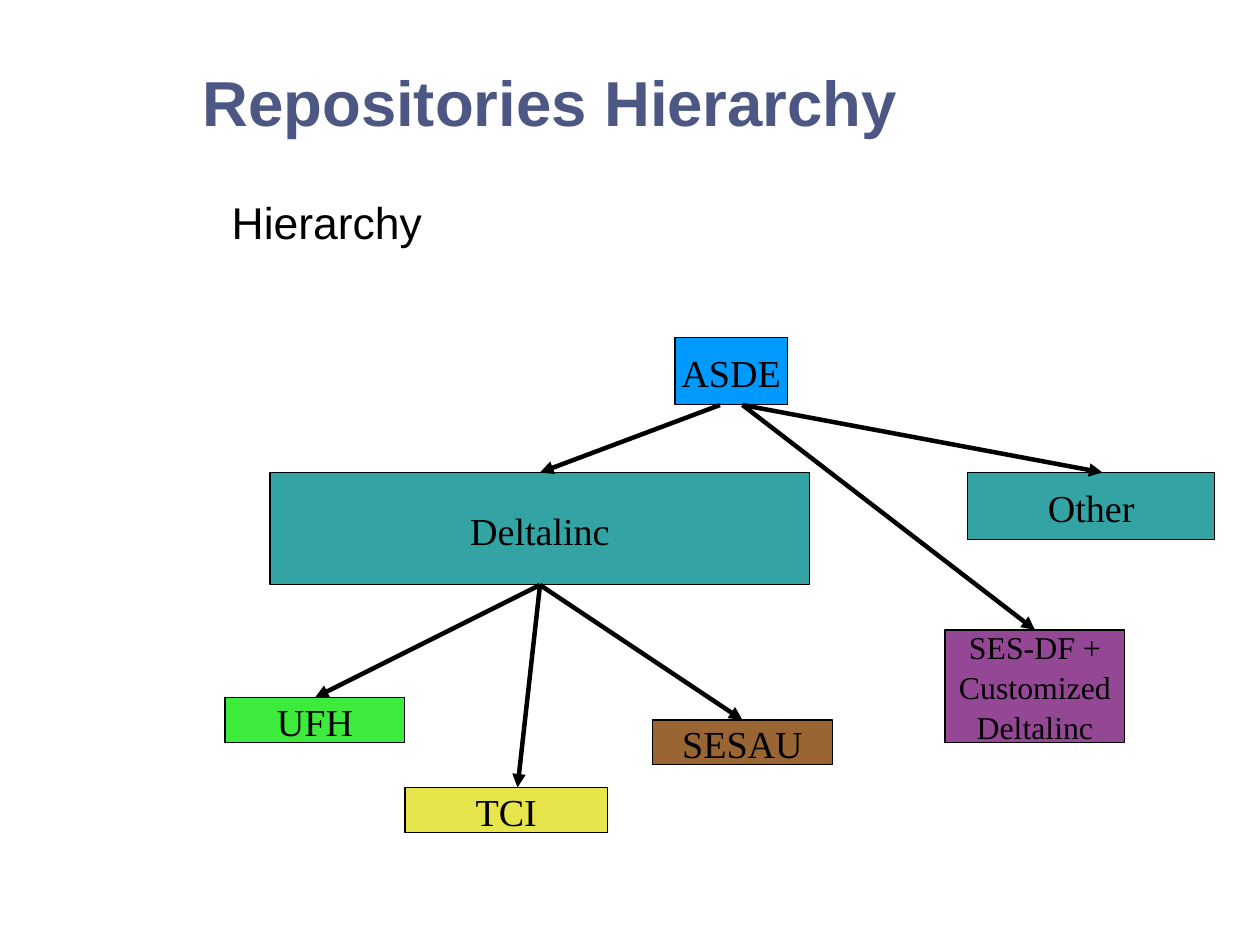
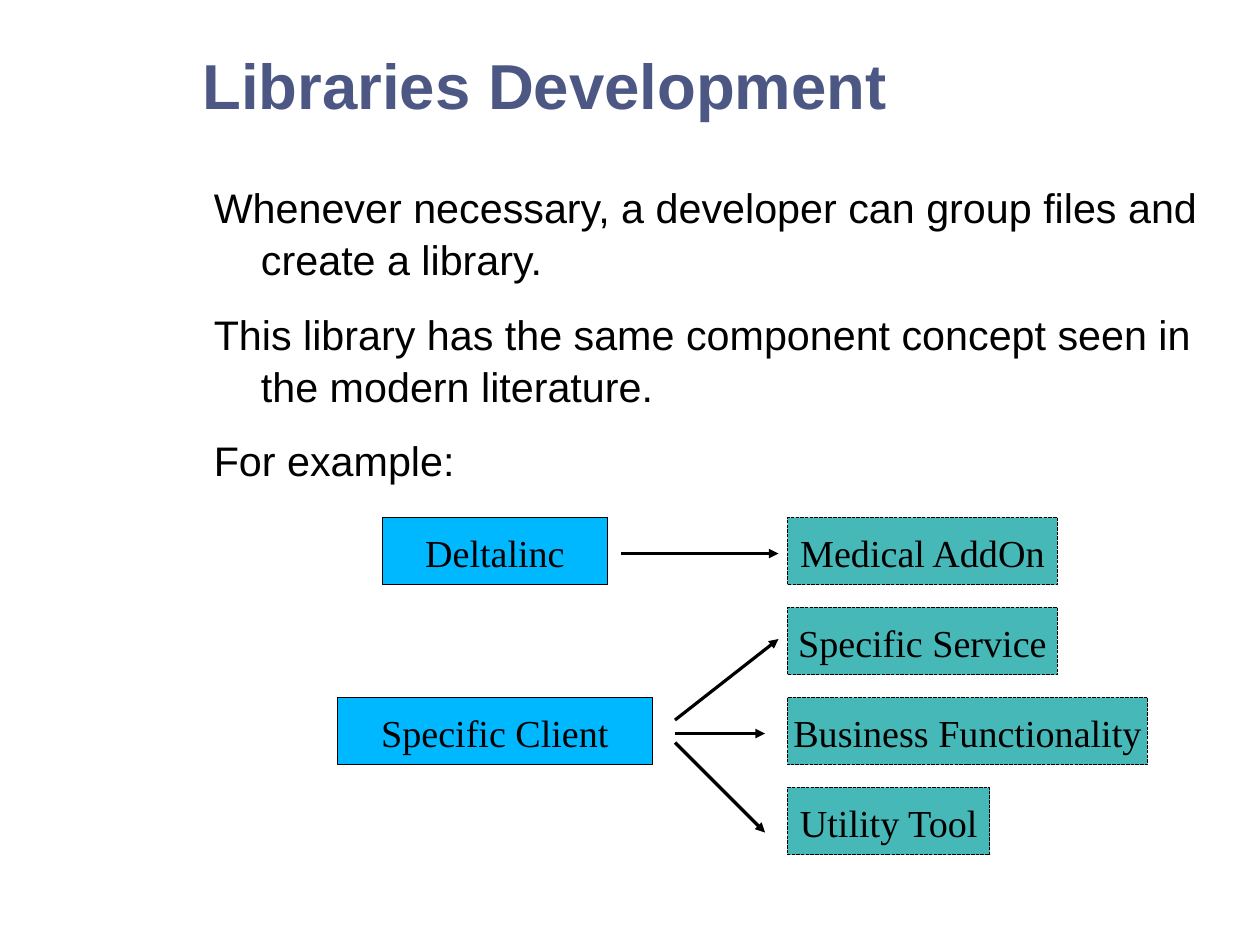
from dataclasses import dataclass

from lxml import etree
from pptx import Presentation
from pptx.dml.color import RGBColor
from pptx.enum.dml import MSO_LINE
from pptx.enum.shapes import MSO_CONNECTOR, MSO_SHAPE
from pptx.enum.text import MSO_ANCHOR, MSO_AUTO_SIZE, PP_ALIGN
from pptx.oxml.ns import qn
from pptx.util import Cm, Pt

RECT = MSO_SHAPE.RECTANGLE
LINE = MSO_CONNECTOR.STRAIGHT
DASH = MSO_LINE.SQUARE_DOT
LEFT, CENTER = PP_ALIGN.LEFT, PP_ALIGN.CENTER
TOP, MIDDLE = MSO_ANCHOR.TOP, MSO_ANCHOR.MIDDLE
FIXED = MSO_AUTO_SIZE.NONE


@dataclass(frozen=True)
class Theme:
    sans: str = "Arial"
    serif: str = "Times New Roman"
    title: str = "4C5784"
    ink: str = "000000"
    root: str = "0099FF"
    branch: str = "33A3A3"
    green: str = "3DEB3D"
    yellow: str = "E6E64C"
    brown: str = "996633"
    purple: str = "944794"
    client: str = "00B8FF"
    library: str = "47B8B8"
    head: int = 40
    lead: int = 28
    body: int = 26
    label: int = 24
    small: int = 20
    bold: float = 2.83
    hair: float = 0
    after: float = 14.2
    pitch: float = 1.05


THEME = Theme()


def apply(item, values):
    """Set several attributes of one object."""
    for name, value in values.items():
        setattr(item, name, value)


def ink(code):
    return RGBColor.from_string(code)


def style(para, face, size, color, bold=False):
    apply(para.font, {"name": face, "size": Pt(size), "bold": bold})
    para.font.color.rgb = ink(color)


def frame(shape, anchor, wrap):
    """Give a shape a text frame without insets."""
    text = shape.text_frame
    apply(text, {
        "margin_left": 0, "margin_top": 0, "margin_right": 0,
        "margin_bottom": 0, "vertical_anchor": anchor,
        "word_wrap": wrap, "auto_size": FIXED,
    })
    return text


def place(shape, box):
    names = ("left", "top", "width", "height")
    apply(shape, dict(zip(names, map(Cm, box))))


def title(slide, words, box):
    shape = slide.shapes.title
    place(shape, box)
    text = frame(shape, MIDDLE, True)
    text.text = words
    para = text.paragraphs[0]
    para.alignment = LEFT
    style(para, THEME.sans, THEME.head, THEME.title, True)


def body(slide, lines, size, box):
    """Fill the body placeholder with hanging, unbulleted paragraphs."""
    shape = slide.placeholders[1]
    place(shape, box)
    text = frame(shape, TOP, True)
    text.text = "\n".join(lines)
    for para in text.paragraphs:
        props = para._p.get_or_add_pPr()
        props.set("marL", str(Cm(1.2)))
        props.set("indent", str(Cm(-1.05)))
        apply(para, {
            "alignment": LEFT, "space_before": Pt(0),
            "space_after": Pt(THEME.after), "line_spacing": THEME.pitch,
        })
        etree.SubElement(props, qn("a:buNone"))
        style(para, THEME.sans, size, THEME.ink)


def node(slide, words, box, fill, size=THEME.label, dash=None):
    """Draw one labelled box."""
    shape = slide.shapes.add_shape(RECT, *map(Cm, box))
    shape.shadow.inherit = False
    shape.fill.solid()
    shape.fill.fore_color.rgb = ink(fill)
    shape.line.color.rgb = ink(THEME.ink)
    apply(shape.line, {"width": Pt(THEME.hair), "dash_style": dash})
    text = frame(shape, MIDDLE, False)
    text.text = words
    para = text.paragraphs[0]
    apply(para, {"alignment": CENTER, "line_spacing": THEME.pitch})
    style(para, THEME.serif, size, THEME.ink)


def arrow(slide, start, end, width):
    line = slide.shapes.add_connector(LINE, *map(Cm, (*start, *end)))
    line.line.color.rgb = ink(THEME.ink)
    line.line.width = Pt(width)
    outline = line.line._get_or_add_ln()
    etree.SubElement(outline, qn("a:tailEnd"), type="triangle")
    etree.SubElement(line._element.spPr, qn("a:effectLst"))


def tree(slide, box):
    """Draw the repository tree from the corner of its box."""
    x, y = box[:2]
    nodes = (
        ("ASDE", 10, 0, 2.5, 1.5, THEME.root, THEME.label),
        ("Deltalinc", 1, 3, 12, 2.5, THEME.branch, THEME.label),
        ("Other", 16.5, 3, 5.5, 1.5, THEME.branch, THEME.label),
        ("UFH", 0, 8, 4, 1, THEME.green, THEME.label),
        ("TCI", 4, 10, 4.5, 1, THEME.yellow, THEME.label),
        ("SESAU", 9.5, 8.5, 4, 1, THEME.brown, THEME.label),
        ("SES-DF +\vCustomized\vDeltalinc", 16, 6.5, 4, 2.5,
         THEME.purple, THEME.small),
    )
    for words, dx, dy, wide, high, fill, size in nodes:
        node(slide, words, (x + dx, y + dy, wide, high), fill, size)

    # Arrows fan out from the foot of each parent
    fans = (
        ((11, 1.5), ((7, 3),)),
        ((11.5, 1.5), ((19.5, 3), (18, 6.5))),
        ((7, 5.5), ((2, 8), (6.5, 10), (11.5, 8.5))),
    )
    for (sx, sy), ends in fans:
        for ex, ey in ends:
            arrow(slide, (x + sx, y + sy), (x + ex, y + ey), THEME.bold)


def links(slide, box):
    """Draw clients and their libraries from the corner of the box."""
    x, y = box[:2]
    high, step = 1.5, 2

    # Clients on the left
    for words, dx, row, wide in (("Deltalinc", 1, 0, 5),
                                 ("Specific Client", 0, 2, 7)):
        spot = (x + dx, y + row * step, wide, high)
        node(slide, words, spot, THEME.client)

    # Libraries on the right, one a row
    rows = (("Medical AddOn", 6), ("Specific Service", 6),
            ("Business Functionality", 8), ("Utility Tool", 4.5))
    for row, (words, wide) in enumerate(rows):
        spot = (x + 10, y + row * step, wide, high)
        node(slide, words, spot, THEME.library, dash=DASH)

    for sx, sy, ex, ey in ((6.3, 0.8, 9.8, 0.8), (7.5, 4.5, 9.8, 2.7),
                           (7.5, 4.8, 9.5, 4.8), (7.5, 5, 9.5, 7)):
        arrow(slide, (x + sx, y + sy), (x + ex, y + ey), THEME.hair)


def main():
    deck = Presentation()
    apply(deck, {"slide_width": Cm(28), "slide_height": Cm(21)})
    layout = deck.slide_layouts[1]

    # Repository hierarchy
    slide = deck.slides.add_slide(layout)
    title(slide, "Repositories Hierarchy", (4.5, 1, 23.45, 2.5))
    body(slide, ["Hierarchy"], THEME.lead, (5, 4.27, 22.5, 1.73))
    tree(slide, (5, 7.5, 22, 11))

    # Library development
    slide = deck.slides.add_slide(layout)
    title(slide, "Libraries Development", (4.5, 1, 23.45, 1.75))
    body(slide, [
        "Whenever necessary, a developer can group files and "
        "create a library.",
        "This library has the same component concept seen in "
        "the modern literature.",
        "For example:",
    ], THEME.body, (4.6, 4, 22.4, 6.18))
    links(slide, (7.5, 11.5, 18, 7.5))

    deck.save("out.pptx")


if __name__ == "__main__":
    main()
